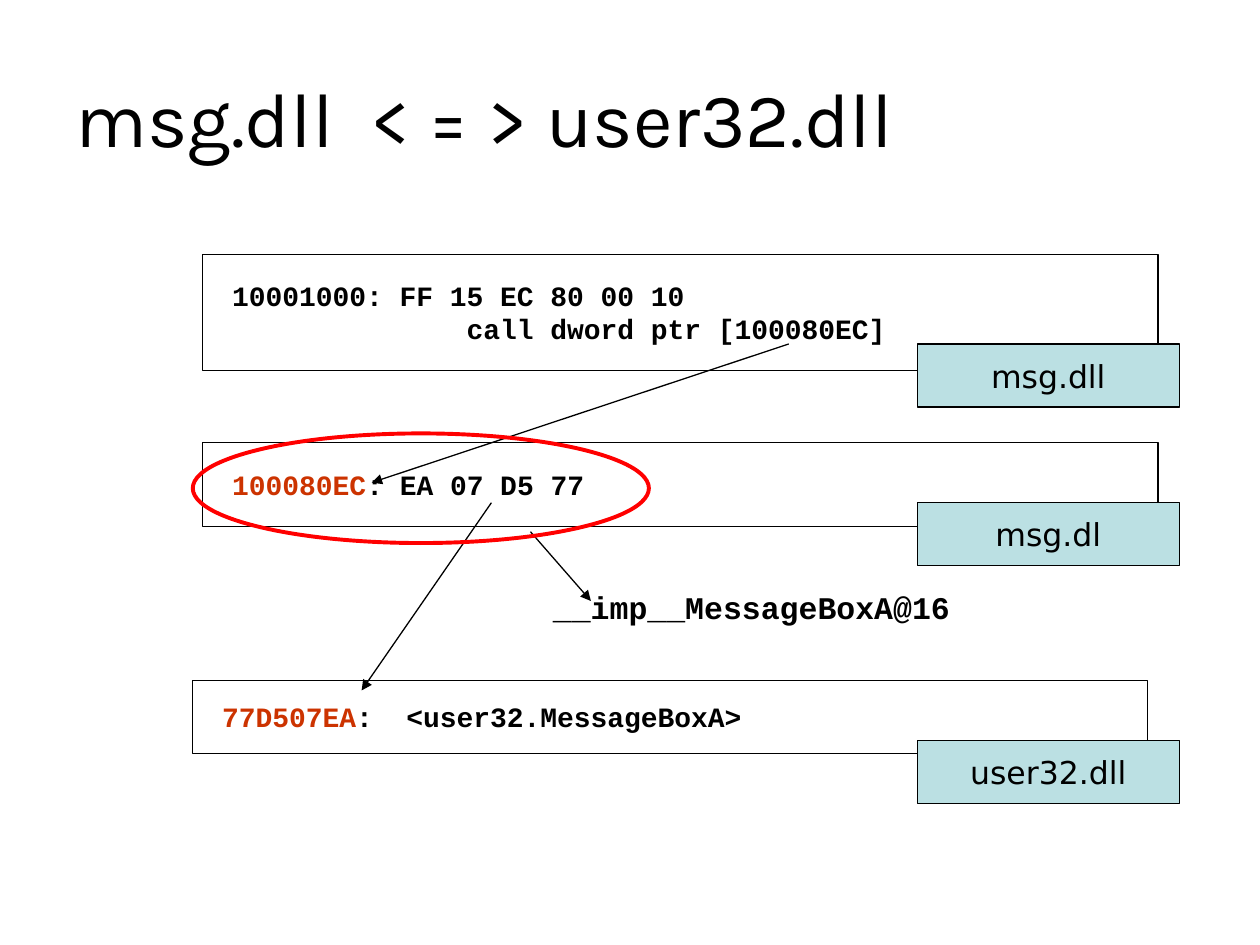
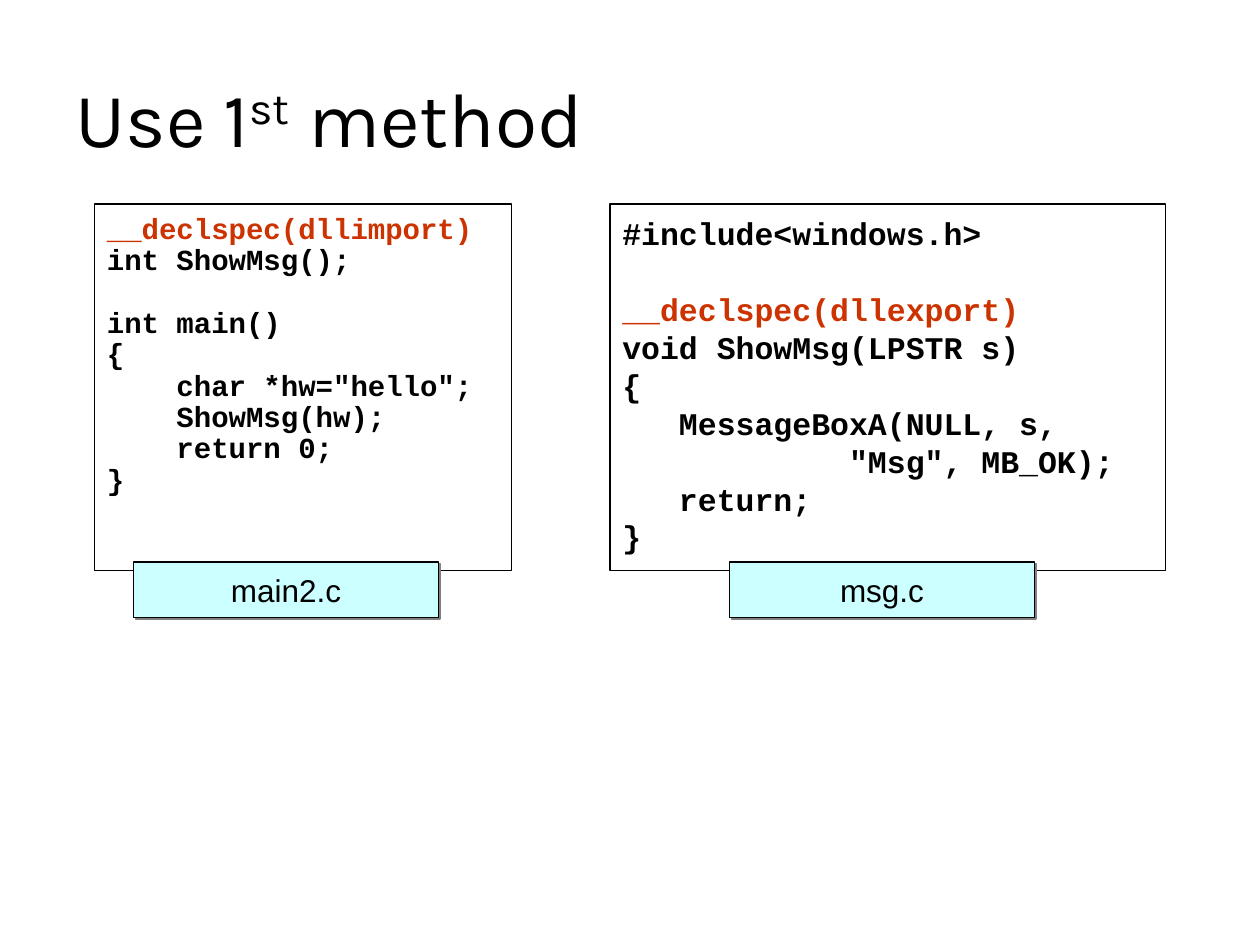
from lxml.etree import SubElement
from pptx import Presentation
from pptx.dml.color import RGBColor
from pptx.enum.shapes import MSO_CONNECTOR, MSO_SHAPE
from pptx.enum.text import MSO_ANCHOR, PP_ALIGN
from pptx.oxml.ns import qn
from pptx.util import Inches, Pt

COLOURS = {
    "ink": "000000",
    "accent": "CC3300",
    "ring": "FF0000",
    "library": "BBE0E3",
    "file": "CCFFFF",
    "shadow": "808080",
}
CODE_FONT = "Courier New"

deck = Presentation()
deck.slide_width, deck.slide_height = Inches(10), Inches(7.5)

# The grid has 100 columns and 75 rows
COLUMN = deck.slide_width / 100
ROW = deck.slide_height / 75


def add_box(page, place, kind=MSO_SHAPE.RECTANGLE, fill=None, line="ink", weight=0.75):
    """Draw a flat shape at (left, top, width, height) in grid units."""
    left, top, width, height = place
    box = page.shapes.add_shape(kind, int(left * COLUMN), int(top * ROW),
                                int(width * COLUMN), int(height * ROW))
    box.shadow.inherit = False
    if fill:
        box.fill.solid()
        box.fill.fore_color.rgb = RGBColor.from_string(COLOURS[fill])
    else:
        box.fill.background()
    if line:
        box.line.color.rgb = RGBColor.from_string(COLOURS[line])
        box.line.width = Pt(weight)
    else:
        box.line.fill.background()
    return box


def write(box, lines, size, font, align=PP_ALIGN.LEFT, pitch=None):
    """Fill a box with lines of (text, colour) runs; an empty line becomes a gap."""
    frame = box.text_frame
    frame.word_wrap = True
    frame.vertical_anchor = MSO_ANCHOR.MIDDLE
    para, gap = frame.paragraphs[0], 0
    for number, runs in enumerate(lines):
        if not runs:
            gap += pitch
            continue
        if number:
            para = frame.add_paragraph()
        para.alignment = align
        para.space_before = Pt(gap)
        gap = 0
        if pitch:
            para.line_spacing = Pt(pitch)
        for text, colour in runs:
            span = para.add_run()
            span.text = text
            span.font.size = Pt(size)
            span.font.name = font
            span.font.bold = font == CODE_FONT
            span.font.color.rgb = RGBColor.from_string(COLOURS[colour])


# Pages with their titles
titles = [["msg.dll  < = > user32.dll"], ["Use 1", "st", " method"]]
pages = []
for parts in titles:
    page = deck.slides.add_slide(deck.slide_layouts[6])
    title = add_box(page, (5, 3, 90, 12.5), line=None)
    write(title, [[(part, "ink") for part in parts]], 44, "Karla")
    pages.append(page)
superscript = title.text_frame.paragraphs[0].runs[1]
superscript._r.get_or_add_rPr().set("baseline", "30000")
calls_page, method_page = pages

# Memory blocks: left, top, height, lines
memory_blocks = [
    (16.1, 20.2, 9.2, [[("10001000: FF 15 EC 80 00 10", "ink")],
                       [("              call dword ptr [100080EC]", "ink")]]),
    (16.1, 35.1, 6.7, [[("100080EC", "accent"), (": EA 07 D5 77", "ink")]]),
    (15.3, 54, 5.8, [[("77D507EA", "accent"), (":  <user32.MessageBoxA>", "ink")]]),
]
for left, top, height, lines in memory_blocks:
    block = add_box(calls_page, (left, top, 75.8, height))
    block.text_frame.margin_left = int(2.33 * COLUMN)
    write(block, lines, 16, CODE_FONT, pitch=18.9)

# Arrows that follow each address
arrows = [
    (62.6, 27.3, 29.5, 38.3),
    (39, 39.9, 28.7, 54.8),
    (42.1, 42.2, 46.9, 47.7),
]
for start_x, start_y, end_x, end_y in arrows:
    arrow = calls_page.shapes.add_connector(
        MSO_CONNECTOR.STRAIGHT, int(start_x * COLUMN), int(start_y * ROW),
        int(end_x * COLUMN), int(end_y * ROW))
    arrow.line.color.rgb = RGBColor.from_string(COLOURS["ink"])
    arrow.line.width = Pt(0.75)
    SubElement(arrow.line._get_or_add_ln(), qn("a:tailEnd"), type="triangle")
    SubElement(arrow._element.spPr, qn("a:effectLst"))

# Library tags
for top, name in [(27.3, "msg.dll"), (39.9, "msg.dl"), (58.8, "user32.dll")]:
    tag = add_box(calls_page, (72.8, top, 20.8, 5), fill="library")
    write(tag, [[(name, "ink")]], 18, "DejaVu Sans", PP_ALIGN.CENTER)

# Import symbol and the ring around its table entry
symbol = add_box(calls_page, (42.9, 46.2, 35, 4), line=None)
write(symbol, [[("__imp__MessageBoxA@16", "ink")]], 18, CODE_FONT)
add_box(calls_page, (15.3, 34.4, 36.2, 8.7), MSO_SHAPE.OVAL, line="ring", weight=2.25)

# Source files: left, width, tag left, file name, size, line pitch, code
importer = [
    "__declspec(dllimport)",
    "int ShowMsg();",
    "",
    "int main()",
    "{",
    '    char *hw="hello";',
    "    ShowMsg(hw);",
    "    return 0;",
    "}",
]
exporter = [
    "#include<windows.h>",
    "",
    "__declspec(dllexport)",
    "void ShowMsg(LPSTR s)",
    "{",
    "   MessageBoxA(NULL, s,",
    '            "Msg", MB_OK);',
    "   return;",
    "}",
]
source_files = [
    (48.4, 44.1, 57.9, "msg.c", 18, 21.65, exporter),
    (7.5, 33.1, 10.6, "main2.c", 16.6, 17.9, importer),
]
for left, width, tag_left, name, size, pitch, code in source_files:
    listing = add_box(method_page, (left, 16.2, width, 29.1))
    lines = [[(text, "accent" if "__declspec" in text else "ink")] if text else []
             for text in code]
    write(listing, lines, size, CODE_FONT, pitch=pitch)
    listing.text_frame.vertical_anchor = MSO_ANCHOR.TOP
    listing.text_frame.margin_top = int(0.8 * ROW)

    tag = add_box(method_page, (tag_left, 44.6, 24.2, 4.4), fill="file")
    write(tag, [[(name, "ink")]], 18, "Arial", PP_ALIGN.CENTER)
    effects = tag._element.spPr.find(qn("a:effectLst"))
    shadow = SubElement(effects, qn("a:outerShdw"), dist=str(Pt(1.4)),
                        dir=str(45 * 60000), algn="ctr", rotWithShape="0")
    SubElement(shadow, qn("a:srgbClr"), val=COLOURS["shadow"])

deck.save("out.pptx")
